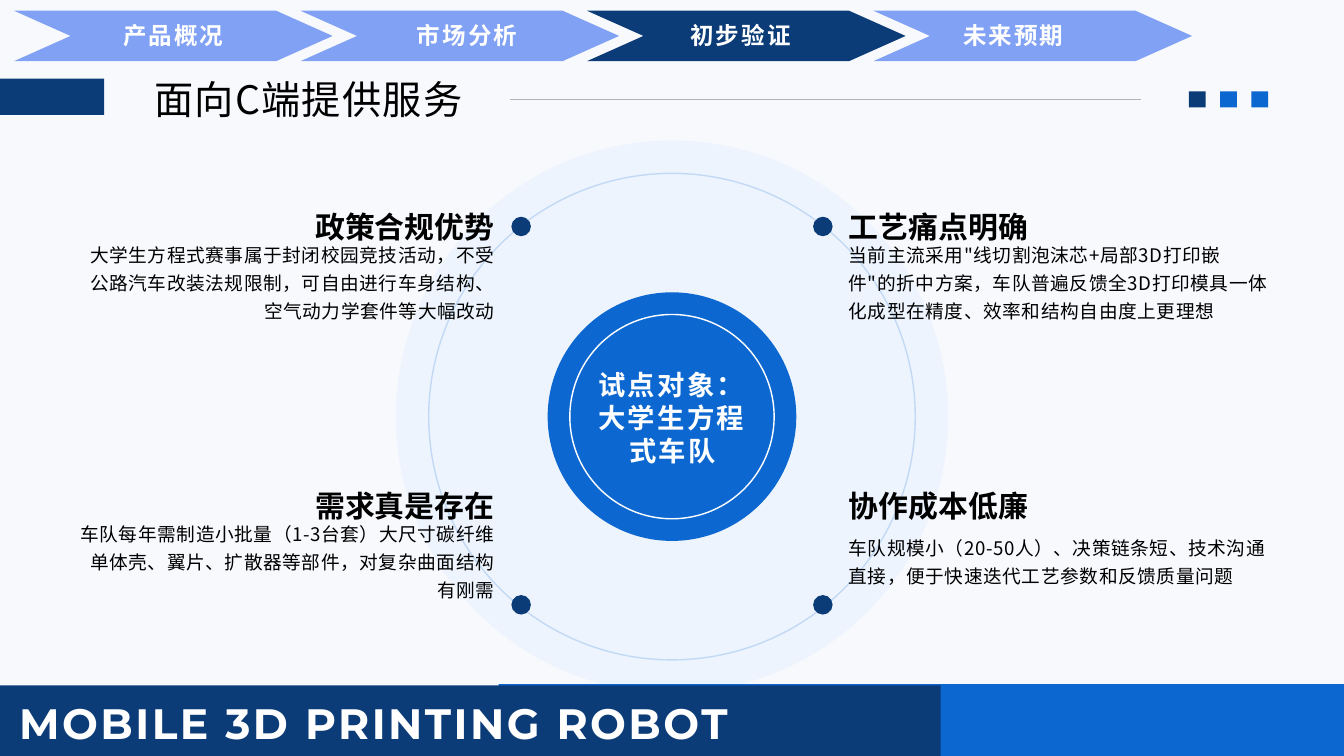
from lxml import etree
from pptx import Presentation
from pptx import util as u
from pptx.dml.color import RGBColor
from pptx.enum import shapes, text
from pptx.oxml.ns import qn

NAVY, BLUE, PERIWINKLE = "0C3C77", "0C68D0", "81A2F4"
PALE, GREY, WHITE, BLACK, PAPER = "E3F0FF", "B4B4B4", "FFFFFF", "000000", "F8F9FD"
CJK = "Noto Sans CJK SC"
LEFT, CENTER, RIGHT = text.PP_ALIGN.LEFT, text.PP_ALIGN.CENTER, text.PP_ALIGN.RIGHT
KIND = shapes.MSO_SHAPE

STEPS = ["产品概况", "市场分析", "初步验证", "未来预期"]
STEP_LABEL_LEFTS = [0.21, 4.58, 8.65, 12.71]
CURRENT_STEP = 2

# heading, body, column, row, distance from heading top to body top
REASONS = [
    ("政策合规优势", "大学生方程式赛事属于封闭校园竞技活动，不受公路汽车改装法规限制，"
     "可自由进行车身结构、空气动力学套件等大幅改动", 0, 0, 0.45),
    ("工艺痛点明确", "当前主流采用\"线切割泡沫芯+局部3D打印嵌件\"的折中方案，"
     "车队普遍反馈全3D打印模具一体化成型在精度、效率和结构自由度上更理想", 1, 0, 0.45),
    ("需求真是存在", "车队每年需制造小批量（1-3台套）大尺寸碳纤维单体壳、翼片、"
     "扩散器等部件，对复杂曲面结构有刚需", 0, 1, 0.45),
    ("协作成本低廉", "车队规模小（20-50人）、决策链条短、技术沟通直接，"
     "便于快速迭代工艺参数和反馈质量问题", 1, 1, 0.66),
]


def paint(color_format, color, opacity=100):
    color_format.rgb = RGBColor.from_string(color)
    if opacity < 100:
        srgb = color_format._xFill.find(qn("a:srgbClr"))
        etree.SubElement(srgb, qn("a:alpha")).set("val", str(opacity * 1000))


def add_figure(slide, kind, box, fill=None, line=None, opacity=100):
    figure = slide.shapes.add_shape(kind, *map(u.Inches, box))
    figure.shadow.inherit = False
    if fill:
        figure.fill.solid()
        paint(figure.fill.fore_color, fill, opacity)
    else:
        figure.fill.background()
    if line:
        figure.line.width = u.Pt(1.5)
        figure.line.fill.solid()
        paint(figure.line.fill.fore_color, line, opacity)
    else:
        figure.line.fill.background()
    return figure


def add_circle(slide, center, diameter, **style):
    x, y = center
    box = (x - diameter / 2, y - diameter / 2, diameter, diameter)
    add_figure(slide, KIND.OVAL, box, **style)


def add_text(slide, box, wording, size, leading, color=BLACK, font=CJK,
             bold=False, tracking=0, align=LEFT):
    frame = slide.shapes.add_textbox(*map(u.Inches, box)).text_frame
    frame.word_wrap = True
    frame.margin_left = frame.margin_right = frame.margin_top = frame.margin_bottom = 0
    paragraph = frame.paragraphs[0]
    paragraph.text = wording
    paragraph.alignment = align
    paragraph.line_spacing = u.Pt(leading)
    run = paragraph.runs[0]
    run.font.size = u.Pt(size)
    run.font.bold = bold
    run.font.name = font
    paint_font = run.font.color
    paint_font.rgb = RGBColor.from_string(color)
    properties = run.font._element
    properties.set("spc", str(round(tracking * 100)))
    etree.SubElement(properties, qn("a:ea")).set("typeface", CJK)


def add_navigation(slide, box):
    left, top, width, height = box
    pitch = 4.263
    for index in range(len(STEPS)):
        fill = NAVY if index == CURRENT_STEP else PERIWINKLE
        chevron = add_figure(slide, KIND.CHEVRON,
                             (left + index * pitch, top, width, height), fill)
        chevron.adjustments[0] = 0.84 / height
    for label, label_left in zip(STEPS, STEP_LABEL_LEFTS):
        add_text(slide, (label_left, top + 0.15, width, 0.44), label, 25.2, 30.2,
                 WHITE, "Arial", True, 2.2, CENTER)


def add_title(slide, box):
    left, top, width, height = box
    # Navy tab and heading
    add_figure(slide, KIND.RECTANGLE, (left, top + 0.05, 1.55, 0.54), NAVY)
    add_text(slide, (left + 2.3, top, 7.99, height), "面向C端提供服务", 42, 50.4, tracking=1.3)
    # Rule
    rule_y = u.Inches(top + 0.36)
    rule = slide.shapes.add_connector(shapes.MSO_CONNECTOR.STRAIGHT,
                                      u.Inches(left + 7.59), rule_y,
                                      u.Inches(left + 16.98), rule_y)
    rule.line.width = u.Pt(1.5)
    rule.line.color.rgb = RGBColor.from_string(GREY)
    etree.SubElement(rule._element.spPr, qn("a:effectLst"))
    # Three squares at the right end
    for index, fill in enumerate([NAVY, BLUE, BLUE]):
        square_left = left + width - 1.18 + index * 0.465
        add_figure(slide, KIND.RECTANGLE, (square_left, top + 0.24, 0.25, 0.24), fill)


def add_hub(slide, box):
    left, top, size, _ = box
    center = (left + size / 2, top + size / 2)
    add_circle(slide, center, size, fill=PALE, opacity=51)
    add_circle(slide, center, 7.24, line=BLUE, opacity=19)
    add_circle(slide, center, 3.7, fill=BLUE)
    add_circle(slide, center, 3.04, line=WHITE)
    # Dots where the reasons meet the outer ring
    for x in (-2.245, 2.245):
        for y in (-2.83, 2.8):
            add_circle(slide, (center[0] + x, center[1] + y), 0.29, fill=NAVY)
    add_text(slide, (center[0] - 1.26, center[1] - 0.72, 2.53, 1.46),
             "试点对象：大学生方程式车队", 29.3, 35.2, WHITE, "Arial", True, 2.5, CENTER)


def add_reason(slide, box, heading, body, body_offset, align):
    left, top, width, height = box
    add_text(slide, (left, top + body_offset, width, height - body_offset), body,
             20, 30, tracking=0.6, align=align)
    add_text(slide, (left, top, width, 0.54), heading, 32, 38.4, bold=True, align=align)


def add_footer(slide, box):
    left, top, width, height = box
    add_figure(slide, KIND.RECTANGLE, (left + 7.42, top, width - 7.42, height), BLUE)
    add_figure(slide, KIND.RECTANGLE, (left, top + 0.02, 14, height - 0.02), NAVY)
    add_text(slide, (left, top + 0.19, 10.84, 0.74), "MOBILE 3D PRINTING ROBOT",
             45.5, 54.6, WHITE, "Montserrat", True, 2.7, RIGHT)


def main():
    deck = Presentation()
    deck.slide_width, deck.slide_height = u.Inches(20), u.Inches(11.25)
    slide = deck.slides.add_slide(deck.slide_layouts[6])
    slide.background.fill.solid()
    paint(slide.background.fill.fore_color, PAPER)

    add_title(slide, (0, 1.12, 18.87, 0.71))
    add_hub(slide, (5.89, 2.09, 8.22, 8.22))
    for heading, body, column, row, body_offset in REASONS:
        box = ((1.12, 12.63)[column], 3.1 + row * 4.15, 6.24, 2.11)
        add_reason(slide, box, heading, body, body_offset, (RIGHT, LEFT)[column])
    add_navigation(slide, (0.21, 0.16, 4.74, 0.75))
    add_footer(slide, (0, 10.18, 20, 1.07))
    deck.save("out.pptx")


if __name__ == "__main__":
    main()
